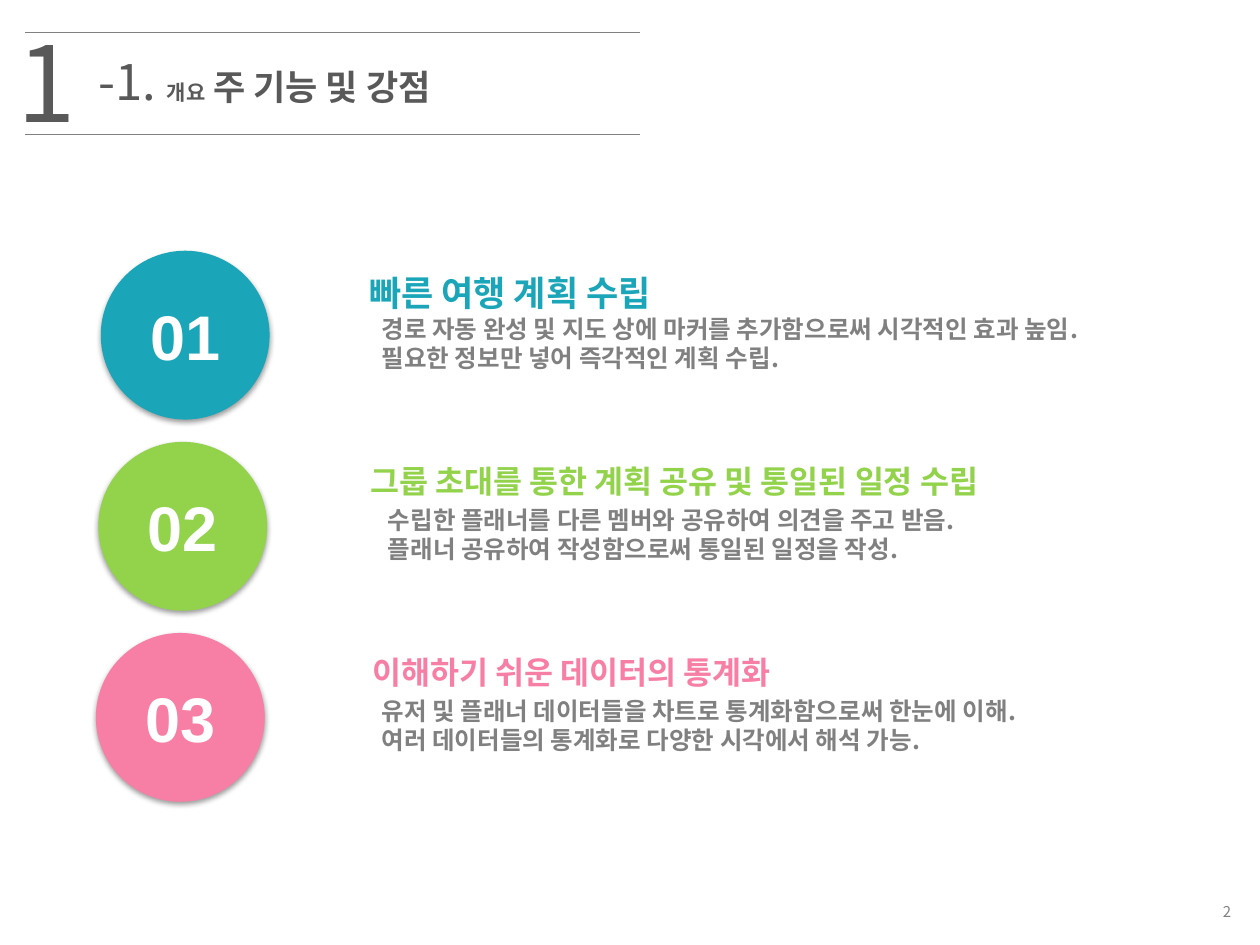
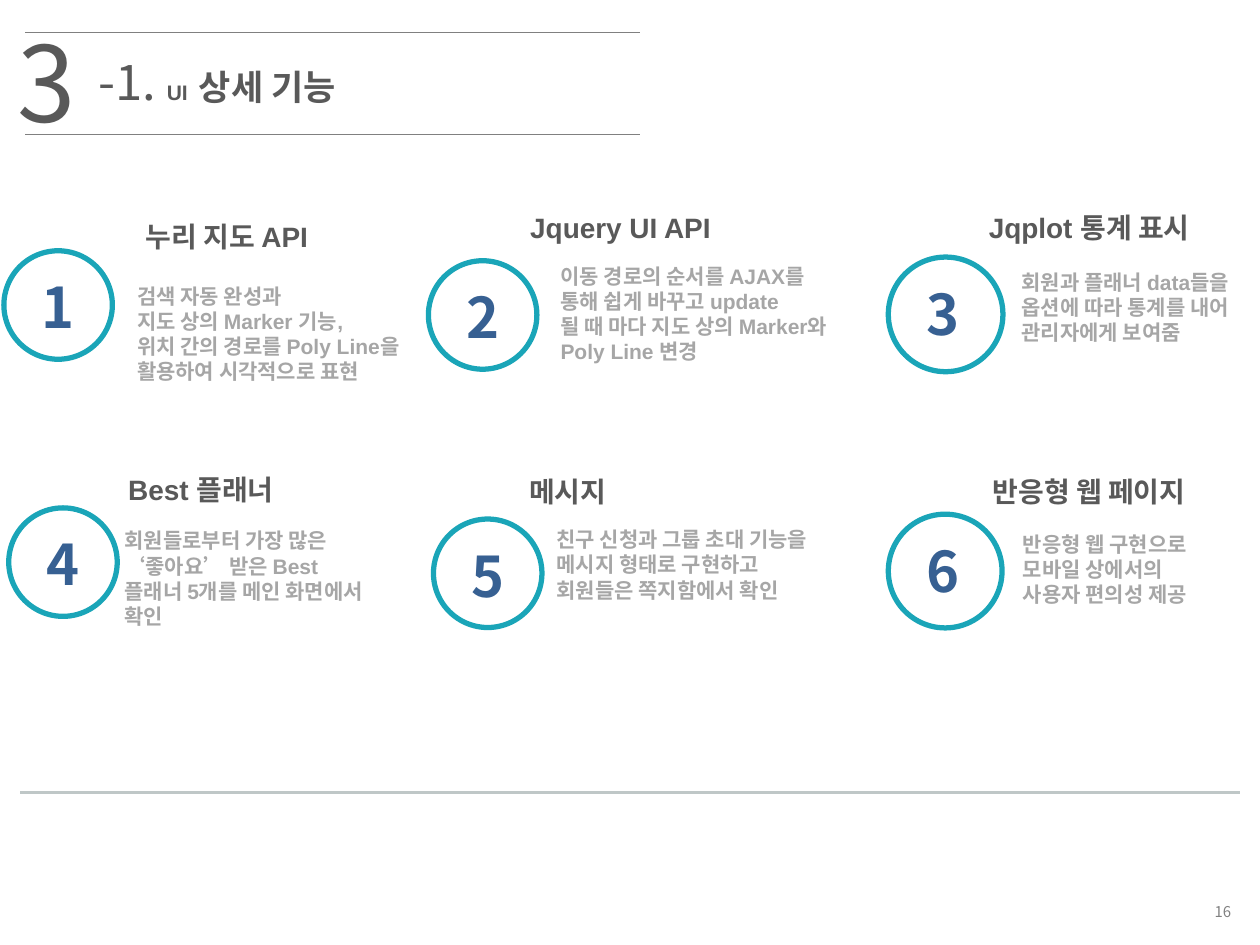
from dataclasses import dataclass
from typing import NamedTuple

from lxml.etree import SubElement
from pptx import Presentation
from pptx.dml.color import RGBColor
from pptx.enum.shapes import MSO_CONNECTOR, MSO_SHAPE
from pptx.enum.text import MSO_ANCHOR as Anchor, PP_ALIGN as Align
from pptx.oxml.ns import qn
from pptx.util import Pt

COLORS = {
    "heading": "595959", "body": "808080", "detail": "A6A6A6",
    "rule": "808080", "bottom_rule": "BFC7C7", "number": "376092",
    "teal": "1AA5B8", "green": "93D34C", "pink": "F77EA4",
    "white": "FFFFFF", "shadow": "000000",
}
KOREAN = "Noto Sans CJK KR"
LATIN = "Arial"


class Box(NamedTuple):
    left: float
    top: float
    width: float
    height: float

    def lengths(self) -> tuple:
        return tuple(Pt(value) for value in self)


@dataclass(frozen=True)
class Style:
    size: float
    color: str
    font: str = KOREAN
    bold: bool = False
    align: Align = Align.LEFT


@dataclass(frozen=True)
class Strength:
    number: str
    color: str
    heading: str
    heading_size: float
    heading_left: float
    heading_width: float
    lines: tuple
    body_left: float
    body_width: float


@dataclass(frozen=True)
class Feature:
    number: str
    ring: Box
    heading: str
    heading_box: Box
    lines: tuple
    detail_box: Box


PAGE_NUMBER = Style(8.5, "body", align=Align.RIGHT)
CHAPTER = Style(60, "heading")
SECTION = Style(28, "heading")
TOPIC = Style(12, "heading", LATIN, True)
GAP = Style(20, "heading", LATIN)
TITLE = Style(20, "heading", LATIN, True)
DISC_NUMBER = Style(36, "white", LATIN, True, Align.CENTER)
STRENGTH_BODY = Style(14, "body", bold=True, align=Align.JUSTIFY)
RING_NUMBER = Style(32, "number", bold=True, align=Align.CENTER)
FEATURE_HEADING = Style(16, "heading", LATIN, True)
FEATURE_DETAIL = Style(12, "detail", LATIN, True)

STRENGTHS = (
    Strength("01", "teal", "빠른 여행 계획 수립", 20, 203.8, 197.3,
             ("경로 자동 완성 및 지도 상에 마커를 추가함으로써 시각적인 효과 높임.",
              "필요한 정보만 넣어 즉각적인 계획 수립."), 211, 466.6),
    Strength("02", "green", "그룹 초대를 통한 계획 공유 및 통일된 일정 수립", 18, 204.5, 462.2,
             ("수립한 플래너를 다른 멤버와 공유하여 의견을 주고 받음.",
              "플래너 공유하여 작성함으로써 통일된 일정을 작성."), 214.6, 493.9),
    Strength("03", "pink", "이해하기 쉬운 데이터의 통계화", 18, 205.9, 270,
             ("유저 및 플래너 데이터들을 차트로 통계화함으로써 한눈에 이해.",
              "여러 데이터들의 통계화로 다양한 시각에서 해석 가능."), 211, 497.5),
)

FEATURES = (
    Feature("1", Box(2.2, 143.3, 62, 62),
            "누리 지도 API", Box(76.3, 121.7, 123.1, 26.6),
            ("검색 자동 완성과", "지도 상의 Marker 기능,",
             "위치 간의 경로를 Poly Line을 활용하여 시각적으로 표현"),
            Box(71.3, 158.4, 165.6, 79.9)),
    Feature("2", Box(244.8, 149, 62, 62),
            "Jquery UI API", Box(295.9, 116.6, 146.9, 26.6),
            ("이동 경로의 순서를 AJAX를", "통해 쉽게 바꾸고 update",
             "될 때 마다 지도 상의 Marker와", "Poly Line 변경"),
            Box(313.2, 146.9, 198, 65.5)),
    Feature("3", Box(507.6, 146.9, 65.5, 65.5),
            "Jqplot 통계 표시", Box(558, 116.6, 146.9, 26.6),
            ("회원과 플래너 data들을 옵션에 따라 통계를 내어 관리자에게 보여줌",),
            Box(576.7, 150.5, 150.5, 51.1)),
    Feature("4", Box(5, 290.2, 62, 62),
            "Best 플래너", Box(66.2, 266.4, 142.6, 26.6),
            ("회원들로부터 가장 많은",
             "‘좋아요’ 받은 Best 플래너 5개를 메인 화면에서 확인"),
            Box(64.1, 298.1, 159.8, 51.1)),
    Feature("5", Box(247.7, 296.6, 62, 62),
            "메시지", Box(295.2, 267.8, 145.4, 26.6),
            ("친구 신청과 그룹 초대 기능을", "메시지 형태로 구현하고",
             "회원들은 쪽지함에서 확인"),
            Box(311, 297.4, 185.8, 51.1)),
    Feature("6", Box(507.6, 293.8, 65, 65),
            "반응형 웹 페이지", Box(560.2, 267.8, 145.4, 26.6),
            ("반응형 웹 구현으로 모바일 상에서의", "사용자 편의성 제공"),
            Box(577.4, 300.2, 131.8, 51.1)),
)


def rgb(name: str) -> RGBColor:
    return RGBColor.from_string(COLORS[name])


def style_run(run, style: Style) -> None:
    font = run.font
    font.size, font.bold, font.name = Pt(style.size), style.bold, style.font
    font.color.rgb = rgb(style.color)
    east_asian = SubElement(run._r.get_or_add_rPr(), qn("a:ea"))
    east_asian.set("typeface", KOREAN)


def fill_text(text_frame, lines: tuple, style: Style) -> None:
    text_frame.text = "\n".join(lines)
    text_frame.word_wrap = True
    for paragraph in text_frame.paragraphs:
        paragraph.alignment = style.align
        for run in paragraph.runs:
            style_run(run, style)


def add_text(slide, box: Box, lines: tuple, style: Style):
    shape = slide.shapes.add_textbox(*box.lengths())
    fill_text(shape.text_frame, lines, style)
    return shape


def add_rule(slide, left: float, right: float, top: float, color: str, width: float) -> None:
    line = slide.shapes.add_connector(
        MSO_CONNECTOR.STRAIGHT, Pt(left), Pt(top), Pt(right), Pt(top))
    line.line.color.rgb = rgb(color)
    line.line.width = Pt(width)
    SubElement(line._element.spPr, qn("a:effectLst"))


def add_circle(slide, box: Box):
    shape = slide.shapes.add_shape(MSO_SHAPE.OVAL, *box.lengths())
    shape.shadow.inherit = False
    return shape


def add_soft_shadow(shape) -> None:
    effects = shape._element.spPr.find(qn("a:effectLst"))
    shadow = SubElement(effects, qn("a:outerShdw"), blurRad=str(Pt(3.1)),
                        dist=str(Pt(1.6)), dir="5400000", rotWithShape="0")
    color = SubElement(shadow, qn("a:srgbClr"), val=COLORS["shadow"])
    SubElement(color, qn("a:alpha"), val="38000")


def add_frame(slide, chapter: str, title_runs: tuple, page: str) -> None:
    """Draw the chapter header between its two rules, and the page number."""
    for top in (18.7, 77):
        add_rule(slide, 14.4, 365.8, top, "rule", 0.75)
    add_text(slide, Box(2.9, 6.5, 62.6, 79.9), (chapter,), CHAPTER)
    title = slide.shapes.add_textbox(*Box(49, 26, 323.3, 41).lengths())
    title.text_frame.word_wrap = True
    paragraph = title.text_frame.paragraphs[0]
    for text, style in title_runs:
        run = paragraph.add_run()
        run.text = text
        style_run(run, style)
    number = add_text(slide, Box(558.7, 511.2, 151.9, 19.4), (page,), PAGE_NUMBER)
    number.text_frame.vertical_anchor = Anchor.MIDDLE


def add_strength(slide, index: int, strength: Strength) -> None:
    top = 143.3 + 109.2 * index
    disc = add_circle(slide, Box(57.6 - 1.4 * index, top, 96.5, 96.5))
    disc.fill.solid()
    disc.fill.fore_color.rgb = rgb(strength.color)
    disc.line.fill.background()
    add_soft_shadow(disc)
    fill_text(disc.text_frame, (strength.number,), DISC_NUMBER)
    disc.text_frame.vertical_anchor = Anchor.MIDDLE
    heading_style = Style(strength.heading_size, strength.color, bold=True)
    add_text(slide, Box(strength.heading_left, top + 8, strength.heading_width, 29),
             (strength.heading,), heading_style)
    add_text(slide, Box(strength.body_left, top + 32.5, strength.body_width, 41),
             strength.lines, STRENGTH_BODY)


def add_feature(slide, feature: Feature) -> None:
    add_text(slide, feature.heading_box, (feature.heading,), FEATURE_HEADING)
    add_text(slide, feature.detail_box, feature.lines, FEATURE_DETAIL)
    ring = add_circle(slide, feature.ring)
    ring.fill.background()
    ring.line.color.rgb = rgb("teal")
    ring.line.width = Pt(3)
    add_text(slide, Box(feature.ring.left + 11, feature.ring.top + 9, 40.3, 46),
             (feature.number,), RING_NUMBER)


def main() -> None:
    presentation = Presentation()
    presentation.slide_width, presentation.slide_height = Pt(720), Pt(540)
    blank = presentation.slide_layouts[6]

    overview = presentation.slides.add_slide(blank)
    add_frame(overview, "1", (("-1. ", SECTION), ("개요", TOPIC), (" ", GAP),
                              ("주 기능 및 강점", TITLE)), "2")
    for index, strength in enumerate(STRENGTHS):
        add_strength(overview, index, strength)

    details = presentation.slides.add_slide(blank)
    add_frame(details, "3", (("-1. ", SECTION), ("UI", TOPIC), (" ", SECTION),
                             ("상세 기능", TITLE)), "16")
    for feature in FEATURES:
        add_feature(details, feature)
    add_rule(details, 11.5, 708.5, 452.9, "bottom_rule", 1.5)

    presentation.save("out.pptx")


if __name__ == "__main__":
    main()
